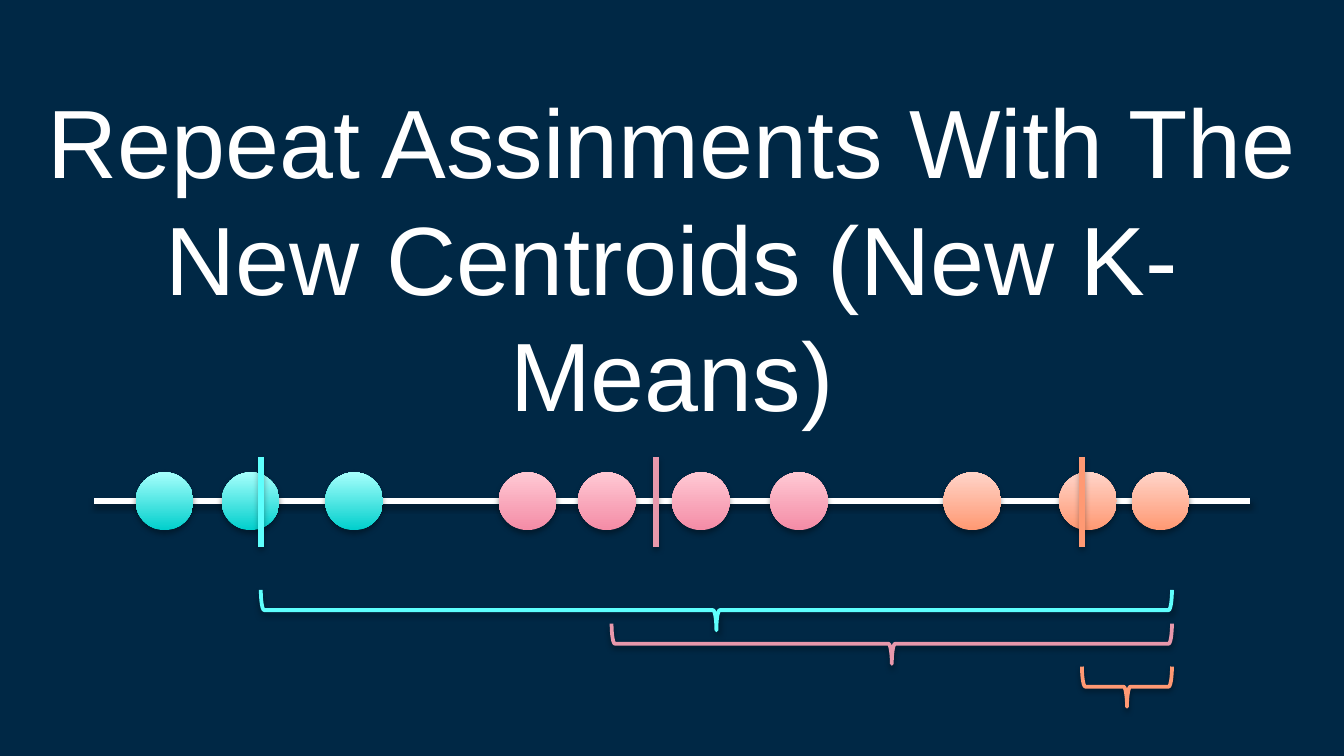
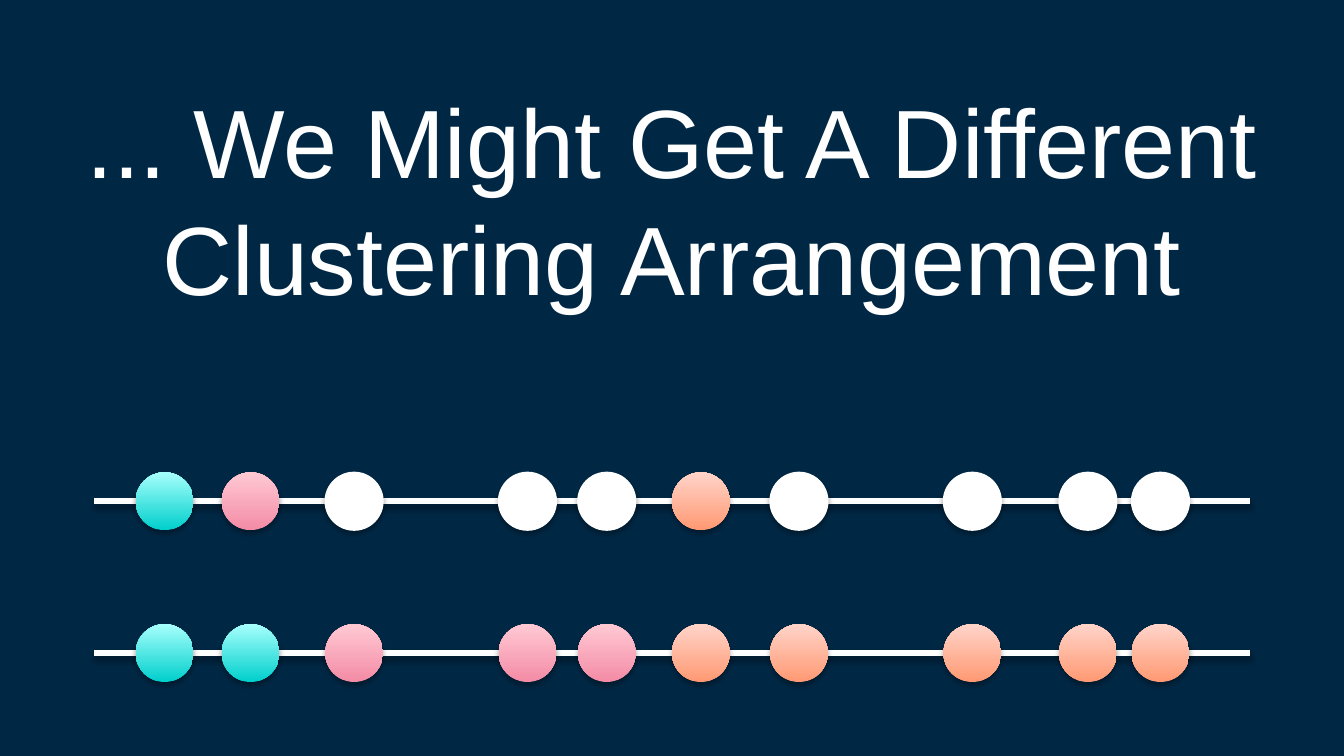
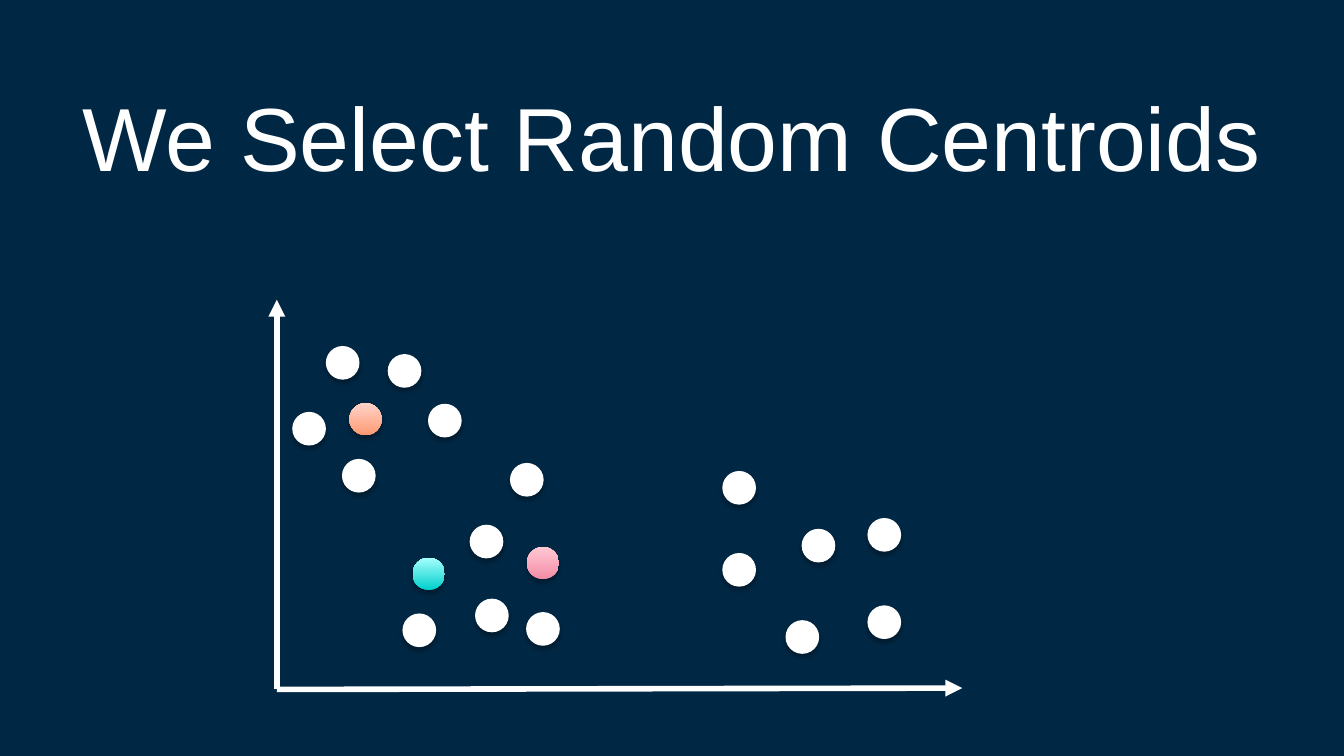
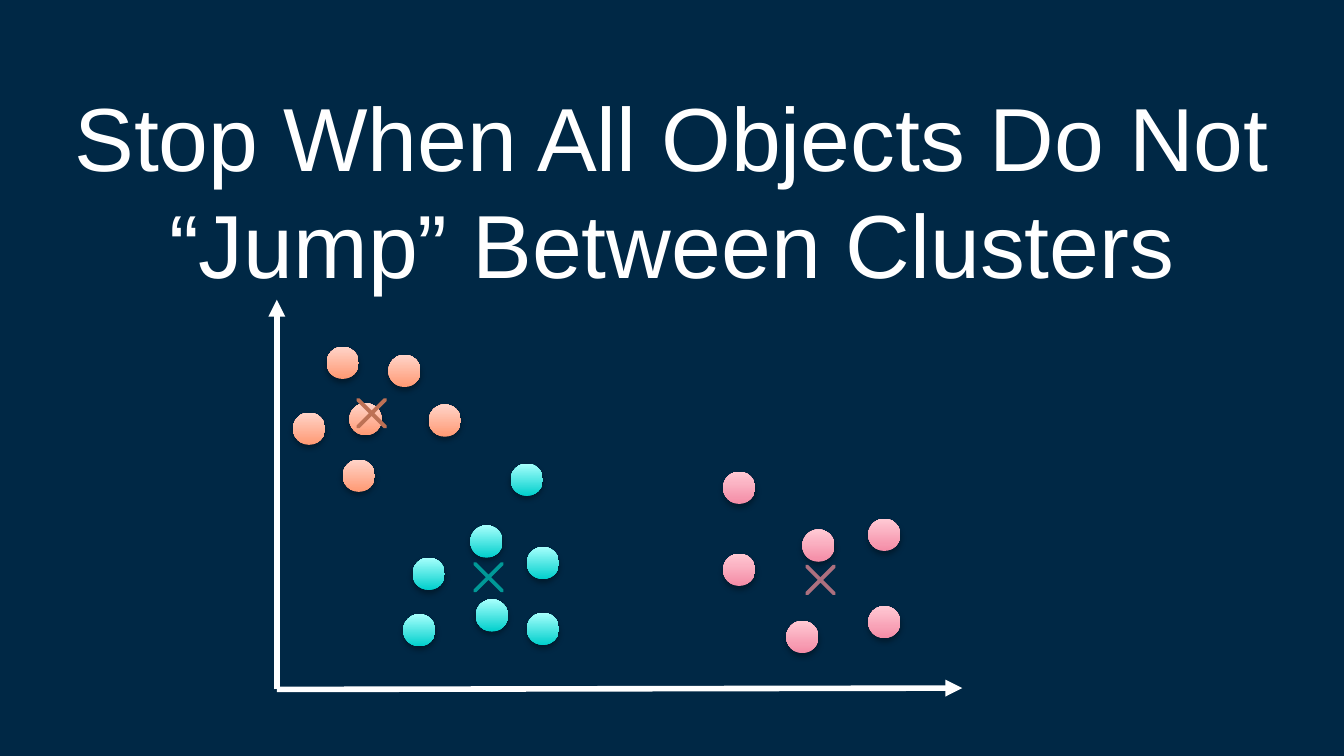
from dataclasses import dataclass
from lxml.etree import SubElement
from pptx import Presentation
from pptx.dml.color import RGBColor
from pptx.enum.shapes import MSO_CONNECTOR, MSO_SHAPE
from pptx.enum.text import MSO_AUTO_SIZE, PP_ALIGN
from pptx.oxml.ns import qn
from pptx.util import Inches, Pt


@dataclass(frozen=True)
class Cluster:
    bright: str
    pale: str
    bar: str
    cross: str
    cross_line: str


@dataclass(frozen=True)
class Theme:
    background: str = "002845"
    white: str = "FFFFFF"
    shadow: str = "000000"
    font: str = "Arial"
    title_large: int = 52
    title_small: int = 48
    axis_width: int = 3
    mark_width: int = 2


THEME = Theme()
TEAL = Cluster("00CFCC", "A6FFFC", "5EFFFD", "00CFCC", "009997")
PINK = Cluster("F48CA6", "FFC9D4", "E898AC", "E898AC", "AC707F")
ORANGE = Cluster("FF9973", "FFD4C9", "FF9973", "FF9973", "BD7155")

# Lengths are cells of a 10-column grid with square cells
WIDTH, HEIGHT = 10, 10 * 9 / 16
TITLE_TOP = 0.56
NUMBER_LINE = (0.7, 9.3)
NUMBER_LINE_Y = 3.73
NUMBER_LINE_STEP = 1.13
OBJECT_LEFTS = (1.01, 1.65, 2.42, 3.71, 4.3, 5, 5.73, 7.02, 7.88, 8.42)
LINE_DOT, PLANE_DOT = 0.43, 0.24
BAR_TOP, BAR_BOTTOM = 3.4, 4.07
BRACE_RIGHT, BRACE_DEPTH = 8.72, 0.3
ORIGIN, X_END, Y_END = (2.06, 5.13), (7.16, 5.12), (2.06, 2.23)
CROSS = 0.39

PLANE_OBJECTS = (
    (ORANGE, ((2.43, 2.58), (2.89, 2.64), (2.6, 3), (2.18, 3.07), (3.19, 3.01), (2.55, 3.42))),
    (TEAL, ((3.8, 3.45), (3.5, 3.91), (3.92, 4.07), (3.07, 4.15), (3.54, 4.46),
            (3.92, 4.56), (3, 4.57))),
    (PINK, ((5.38, 3.51), (6.46, 3.86), (5.97, 3.94), (5.38, 4.12), (6.46, 4.51), (5.85, 4.62))),
)


def rgb(color):
    return RGBColor.from_string(color)


def set_line(sp, color, width):
    sp.line.color.rgb = rgb(color)
    sp.line.width = Pt(width)


def set_effects(sp, opacity=0, distance=1.8):
    """Replace the inherited effects by a soft shadow, or by none at opacity 0."""
    effects = SubElement(sp.element.spPr, qn("a:effectLst"))
    if opacity:
        shadow = SubElement(effects, qn("a:outerShdw"), blurRad=str(Pt(3.1)),
                            dist=str(Pt(distance)), dir="5400000", rotWithShape="0")
        color = SubElement(shadow, qn("a:srgbClr"), val=THEME.shadow)
        SubElement(color, qn("a:alpha"), val=str(opacity * 1000))


def add_text(slide, text, top, height, *, size, color=THEME.white, align=PP_ALIGN.CENTER):
    box = slide.shapes.add_textbox(0, Inches(top), Inches(WIDTH), Inches(height))
    tf = box.text_frame
    tf.word_wrap = True
    tf.auto_size = MSO_AUTO_SIZE.SHAPE_TO_FIT_TEXT
    p = tf.paragraphs[0]
    p.alignment = align
    r = p.add_run()
    r.text = text
    r.font.name = THEME.font
    r.font.size = Pt(size)
    r.font.color.rgb = rgb(color)


def add_line(slide, start, end, color=THEME.white, arrow=False):
    line = slide.shapes.add_connector(MSO_CONNECTOR.STRAIGHT, *map(Inches, (*start, *end)))
    set_line(line, color, THEME.axis_width)
    if arrow:
        SubElement(line.element.spPr.find(qn("a:ln")), qn("a:tailEnd"), type="triangle")
    set_effects(line, opacity=0 if arrow else 35)


def add_preset(slide, preset, left, top, width, height):
    return slide.shapes.add_shape(preset, *map(Inches, (left, top, width, height)))


def add_dot(slide, left, top, size, cluster=None):
    """Draw one object, white while it belongs to no cluster."""
    dot = add_preset(slide, MSO_SHAPE.OVAL, left, top, size, size)
    if cluster:
        dot.fill.gradient()
        dot.fill.gradient_angle = 90
        for stop, color in zip(dot.fill.gradient_stops, (cluster.bright, cluster.pale)):
            stop.color.rgb = rgb(color)
        dot.line.fill.background()
    else:
        dot.fill.solid()
        dot.fill.fore_color.rgb = rgb(THEME.white)
        set_line(dot, THEME.white, 0.75)
    set_effects(dot, opacity=35)


def add_number_line(slide, clusters, y=NUMBER_LINE_Y):
    add_line(slide, (NUMBER_LINE[0], y), (NUMBER_LINE[1], y))
    for left, cluster in zip(OBJECT_LEFTS, clusters):
        add_dot(slide, left, y - LINE_DOT / 2, LINE_DOT, cluster)


def add_brace(slide, left, top, cluster):
    """Draw a brace that opens upwards: a right brace turned about its centre."""
    span = BRACE_RIGHT - left
    turn = (span - BRACE_DEPTH) / 2
    brace = add_preset(slide, MSO_SHAPE.RIGHT_BRACE, left + turn, top - turn, BRACE_DEPTH, span)
    brace.rotation = 90
    brace.fill.background()
    set_line(brace, cluster.bar, THEME.mark_width)
    set_effects(brace, opacity=38, distance=1.6)


def add_cross(slide, left, top, cluster):
    cross = add_preset(slide, MSO_SHAPE.MATH_MULTIPLY, left, top, CROSS, CROSS)
    cross.adjustments[0] = 0
    cross.fill.solid()
    cross.fill.fore_color.rgb = rgb(cluster.cross)
    set_line(cross, cluster.cross_line, THEME.mark_width)
    set_effects(cross)


def add_plane(slide, colored):
    """Draw the axes and objects; colored tells whether a place shows its cluster."""
    for end in (Y_END, X_END):
        add_line(slide, ORIGIN, end, arrow=True)
    for cluster, places in PLANE_OBJECTS:
        for place in places:
            add_dot(slide, *place, PLANE_DOT, colored(place, cluster))


def add_slide(prs, title, height, size):
    slide = prs.slides.add_slide(prs.slide_layouts[6])
    slide.background.fill.solid()
    slide.background.fill.fore_color.rgb = rgb(THEME.background)
    add_text(slide, title, TITLE_TOP, height, size=size)
    return slide


def build_repeat(prs):
    slide = add_slide(prs, "Repeat Assinments With The New Centroids (New K-Means)",
                      2.73, THEME.title_large)
    add_number_line(slide, [TEAL] * 3 + [PINK] * 4 + [ORANGE] * 3)
    for x, cluster in ((1.94, TEAL), (8.05, ORANGE), (4.88, PINK)):
        add_line(slide, (x, BAR_TOP), (x, BAR_BOTTOM), cluster.bar)
    for left, top, cluster in ((1.94, 4.39, TEAL), (4.55, 4.64, PINK), (8.05, 4.96, ORANGE)):
        add_brace(slide, left, top, cluster)


def build_different(prs):
    slide = add_slide(prs, "... We Might Get A Different Clustering Arrangement",
                      1.85, THEME.title_large)
    start = [TEAL, PINK] + [None] * 3 + [ORANGE] + [None] * 4
    result = [TEAL] * 2 + [PINK] * 3 + [ORANGE] * 5
    for row, clusters in enumerate((start, result)):
        add_number_line(slide, clusters, NUMBER_LINE_Y + row * NUMBER_LINE_STEP)


def build_random(prs):
    slide = add_slide(prs, "We Select Random Centroids", 0.94, THEME.title_small)
    seeds = {(2.6, 3): ORANGE, (3.07, 4.15): TEAL, (3.92, 4.07): PINK}
    add_plane(slide, lambda place, cluster: seeds.get(place))


def build_stop(prs):
    slide = add_slide(prs, "Stop When All Objects Do Not “Jump” Between Clusters",
                      1.72, THEME.title_small)
    add_plane(slide, lambda place, cluster: cluster)
    for left, top, cluster in ((2.57, 2.88, ORANGE), (5.91, 4.12, PINK), (3.44, 4.1, TEAL)):
        add_cross(slide, left, top, cluster)


def main():
    prs = Presentation()
    prs.slide_width, prs.slide_height = Inches(WIDTH), Inches(HEIGHT)
    for build in (build_repeat, build_different, build_random, build_stop):
        build(prs)
    prs.save("out.pptx")


if __name__ == "__main__":
    main()
